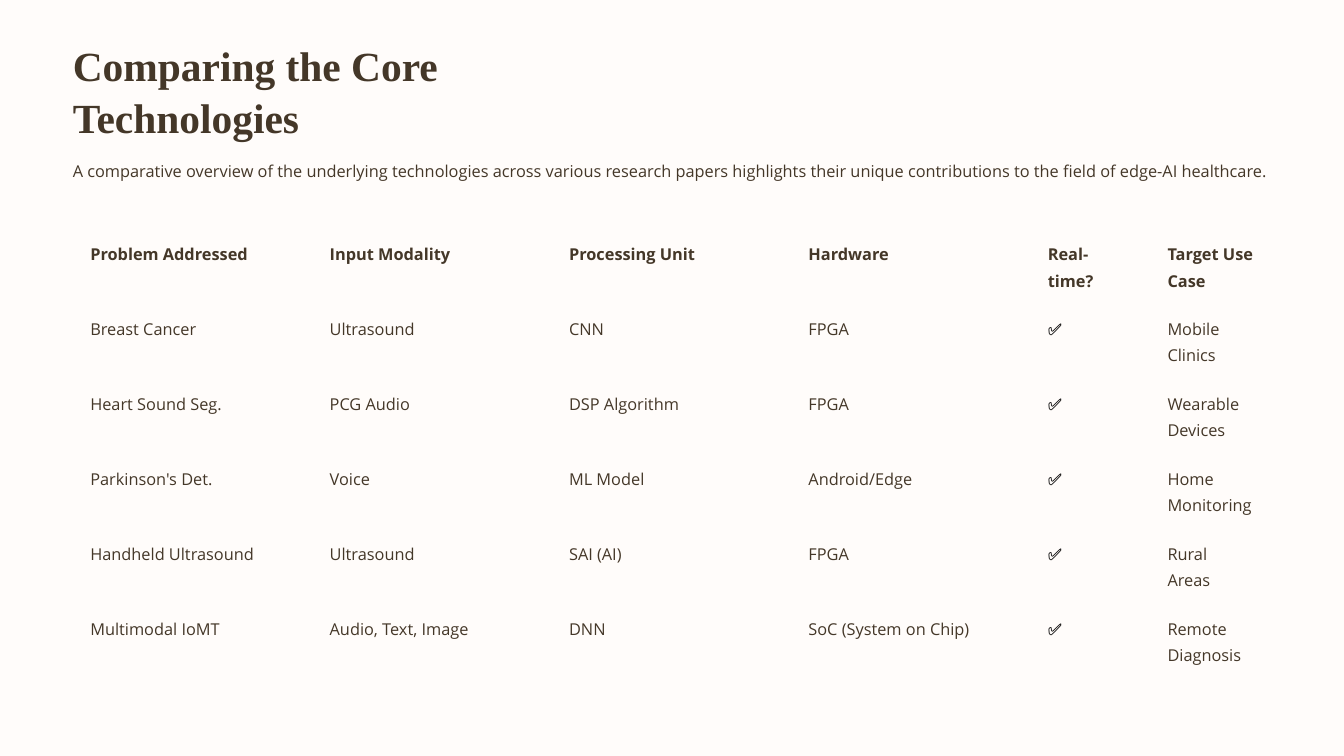
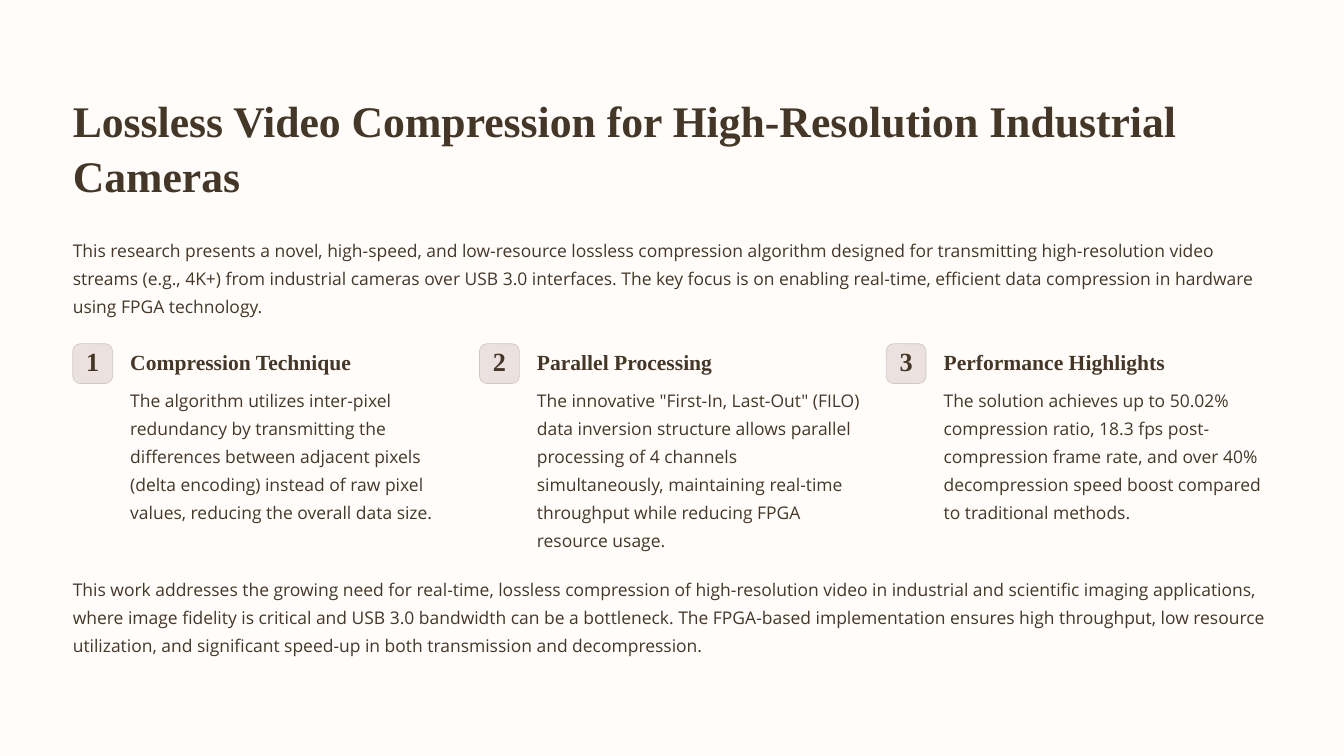
from dataclasses import dataclass

from pptx import Presentation
from pptx.dml.color import RGBColor
from pptx.enum.shapes import MSO_SHAPE
from pptx.enum.text import MSO_ANCHOR, PP_ALIGN
from pptx.oxml.ns import qn
from pptx.util import Pt

PX = 9525  # EMU per px, 96 px to the inch
RECTANGLE, ROUNDED = MSO_SHAPE.RECTANGLE, MSO_SHAPE.ROUNDED_RECTANGLE
MIDDLE, TOP = MSO_ANCHOR.MIDDLE, MSO_ANCHOR.TOP
LEFT, CENTER = PP_ALIGN.LEFT, PP_ALIGN.CENTER

COLORS = {
    "page": "FFFCFA",
    "ink": "443728",
    "check": "000000",
    "badge": "EBE2E0",
    "badge_line": "D1C8C6",
}
SERIF, SANS = "Times New Roman", "Open Sans"
NO_STYLE_NO_GRID = "{2D5ABB26-0587-4C30-8999-92F81FD0307C}"
PAGE_W, PAGE_H = 1920, 1080
MARGIN, CONTENT_W = 104, 1712


@dataclass(frozen=True)
class TextStyle:
    font: str
    size: float
    spacing: float
    bold: bool = False
    color: str = "ink"
    align: PP_ALIGN = LEFT


@dataclass(frozen=True)
class Column:
    header: str
    width: int
    right_inset: int = 24


@dataclass(frozen=True)
class Step:
    title: str
    body: str


TABLE_TITLE = TextStyle(SERIF, 44.4, 55.6, bold=True)
STEPS_TITLE = TextStyle(SERIF, 46.8, 58.7, bold=True)
STEP_TITLE = TextStyle(SERIF, 23.1, 29.4, bold=True)
NUMBER = TextStyle(SERIF, 28.1, 28.1, bold=True, align=CENTER)
BODY = TextStyle(SANS, 18.7, 30)
CELL = TextStyle(SANS, 17.5, 28.1)
CELL_HEAD = TextStyle(SANS, 17.5, 28.1, bold=True)
CELL_CHECK = TextStyle(SANS, 17.5, 28.1, color="check")

# Comparison table content
CHECK = "✅"
COLUMNS = (
    Column("Problem Addressed", 342),
    Column("Input Modality", 342),
    Column("Processing Unit", 342),
    Column("Hardware", 342),
    Column("Real-time?", 171, right_inset=26),
    Column("Target Use Case", 171),
)
PAPERS = (
    ("Breast Cancer", "Ultrasound", "CNN", "FPGA", CHECK, "Mobile Clinics"),
    ("Heart Sound Seg.", "PCG Audio", "DSP Algorithm", "FPGA", CHECK,
     "Wearable Devices"),
    ("Parkinson's Det.", "Voice", "ML Model", "Android/Edge", CHECK,
     "Home Monitoring"),
    ("Handheld Ultrasound", "Ultrasound", "SAI (AI)", "FPGA", CHECK,
     "Rural Areas"),
    ("Multimodal IoMT", "Audio, Text, Image", "DNN", "SoC (System on Chip)",
     CHECK, "Remote Diagnosis"),
)
TABLE_LEFT, TABLE_TOP, ROW_H = 105, 326, 107

# Numbered columns content
STEPS = (
    Step("Compression Technique",
         "The algorithm utilizes inter-pixel redundancy by transmitting the "
         "differences between adjacent pixels (delta encoding) instead of raw "
         "pixel values, reducing the overall data size."),
    Step("Parallel Processing",
         'The innovative "First-In, Last-Out" (FILO) data inversion structure '
         "allows parallel processing of 4 channels simultaneously, maintaining "
         "real-time throughput while reducing FPGA resource usage."),
    Step("Performance Highlights",
         "The solution achieves up to 50.02% compression ratio, 18.3 fps "
         "post-compression frame rate, and over 40% decompression speed boost "
         "compared to traditional methods."),
)
STEP_PITCH, STEP_INDENT, STEP_W = 581, 82, 468
BADGE_TOP, BADGE_SIZE = 491, 57


def rgb(name: str) -> RGBColor:
    return RGBColor.from_string(COLORS[name])


def write(tf, text: str, style: TextStyle) -> None:
    tf.text = text
    tf.word_wrap = True
    p = tf.paragraphs[0]
    p.alignment = style.align
    p.line_spacing = Pt(style.spacing)
    font = p.runs[0].font
    font.name, font.size, font.bold = style.font, Pt(style.size), style.bold
    font.color.rgb = rgb(style.color)


def clear_insets(tf) -> None:
    tf.margin_left = tf.margin_top = tf.margin_right = tf.margin_bottom = 0


def add_text(s, x: int, y: int, w: int, h: int, text: str,
             style: TextStyle) -> None:
    tf = s.shapes.add_textbox(x * PX, y * PX, w * PX, h * PX).text_frame
    clear_insets(tf)
    write(tf, text, style)


def add_filled(s, kind, x: int, y: int, w: int, h: int, color: str):
    sp = s.shapes.add_shape(kind, x * PX, y * PX, w * PX, h * PX)
    sp.shadow.inherit = False
    sp.fill.solid()
    sp.fill.fore_color.rgb = rgb(color)
    sp.line.fill.background()
    return sp


def add_page(prs):
    s = prs.slides.add_slide(prs.slide_layouts[6])
    add_filled(s, RECTANGLE, 0, 0, PAGE_W, PAGE_H, "page")
    return s


def add_comparison_table(s) -> None:
    rows = (tuple(c.header for c in COLUMNS), *PAPERS)
    frame = s.shapes.add_table(
        len(rows), len(COLUMNS), TABLE_LEFT * PX, TABLE_TOP * PX,
        sum(c.width for c in COLUMNS) * PX, len(rows) * ROW_H * PX)
    table = frame.table
    table.horz_banding = False
    table._tbl.tblPr.find(qn("a:tableStyleId")).text = NO_STYLE_NO_GRID
    for j, column in enumerate(COLUMNS):
        table.columns[j].width = column.width * PX
    for i, row in enumerate(rows):
        table.rows[i].height = ROW_H * PX
        for j, text in enumerate(row):
            cell = table.cell(i, j)
            cell.fill.background()
            cell.vertical_anchor = TOP
            cell.margin_left = 24 * PX
            cell.margin_right = COLUMNS[j].right_inset * PX
            cell.margin_top, cell.margin_bottom = 16 * PX, 15 * PX
            style = CELL_HEAD if i == 0 else CELL
            write(cell.text_frame, text, CELL_CHECK if text == CHECK else style)


def add_badge(s, x: int, number: int) -> None:
    sp = add_filled(s, ROUNDED, x, BADGE_TOP, BADGE_SIZE, BADGE_SIZE, "badge")
    sp.adjustments[0] = 0.19
    sp.line.color.rgb = rgb("badge_line")
    sp.line.width = Pt(0.75)
    clear_insets(sp.text_frame)
    sp.text_frame.vertical_anchor = MIDDLE
    write(sp.text_frame, str(number), NUMBER)


def add_step(s, index: int, step: Step) -> None:
    x = MARGIN + index * STEP_PITCH
    add_badge(s, x, index + 1)
    add_text(s, x + STEP_INDENT, 496, 324, 42, step.title, STEP_TITLE)
    add_text(s, x + STEP_INDENT, 547, STEP_W, 240, step.body, BODY)


def build_technologies(prs) -> None:
    s = add_page(prs)
    add_text(s, MARGIN, 54, 853, 148, "Comparing the Core Technologies",
             TABLE_TITLE)
    add_text(s, MARGIN, 221, CONTENT_W, 84,
             "A comparative overview of the underlying technologies across "
             "various research papers highlights their unique contributions "
             "to the field of edge-AI healthcare.", CELL)
    add_comparison_table(s)


def build_compression(prs) -> None:
    s = add_page(prs)
    add_text(s, MARGIN, 131, CONTENT_W, 160,
             "Lossless Video Compression for High-Resolution Industrial "
             "Cameras", STEPS_TITLE)
    add_text(s, MARGIN, 333, CONTENT_W, 130,
             "This research presents a novel, high-speed, and low-resource "
             "lossless compression algorithm designed for transmitting "
             "high-resolution video streams (e.g., 4K+) from industrial "
             "cameras over USB 3.0 interfaces. The key focus is on enabling "
             "real-time, efficient data compression in hardware using FPGA "
             "technology.", BODY)
    for index, step in enumerate(STEPS):
        add_step(s, index, step)
    add_text(s, MARGIN, 817, CONTENT_W, 130,
             "This work addresses the growing need for real-time, lossless "
             "compression of high-resolution video in industrial and "
             "scientific imaging applications, where image fidelity is "
             "critical and USB 3.0 bandwidth can be a bottleneck. The "
             "FPGA-based implementation ensures high throughput, low resource "
             "utilization, and significant speed-up in both transmission and "
             "decompression.", BODY)


def main() -> None:
    prs = Presentation()
    prs.slide_width, prs.slide_height = PAGE_W * PX, PAGE_H * PX
    build_technologies(prs)
    build_compression(prs)
    prs.save("out.pptx")


if __name__ == "__main__":
    main()
